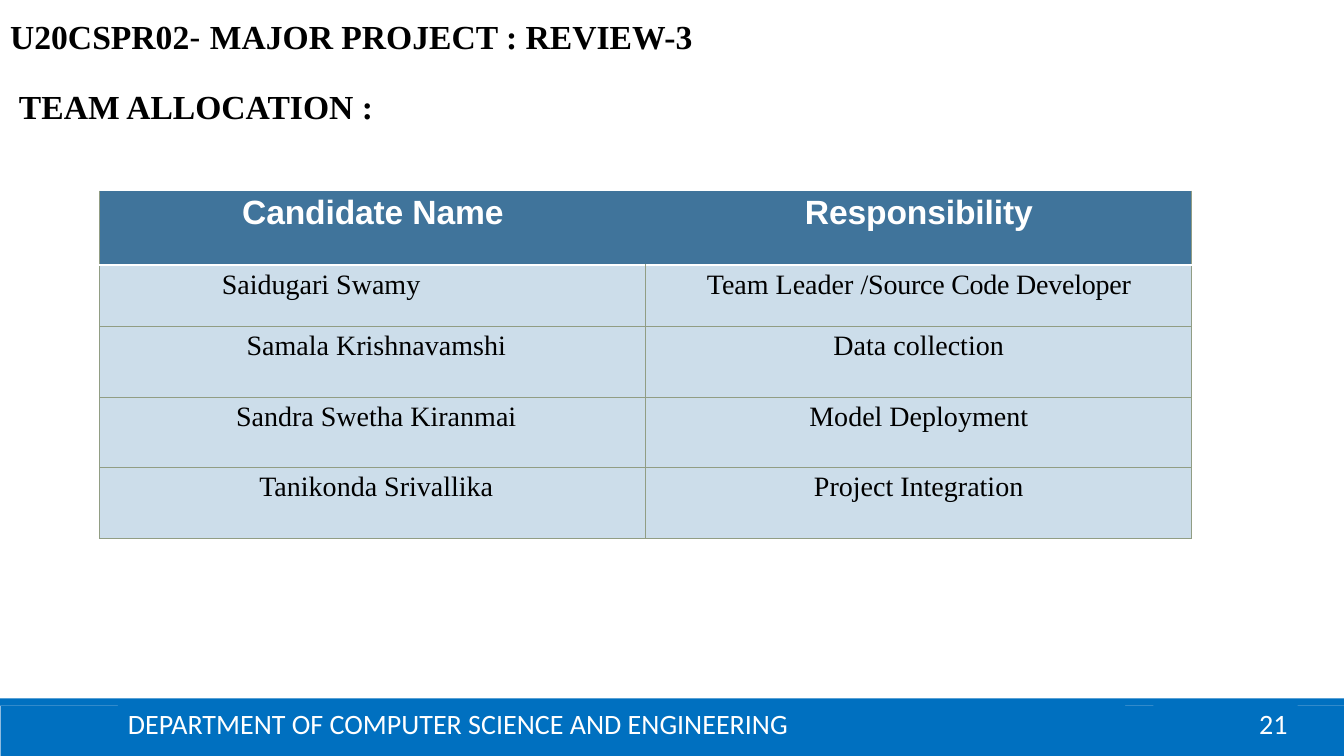
from lxml import etree
from pptx import Presentation
from pptx.dml.color import RGBColor
from pptx.enum import shapes, text
from pptx.oxml import ns
from pptx.util import Inches, Pt

COLORS = {
    "blue": "0070C0",
    "edge": "8DBBE0",
    "header": "40749B",
    "row": "CCDDEA",
    "grid": "919D84",
    "white": "FFFFFF",
    "black": "000000",
}
SERIF = "Times New Roman"
ROW_HEIGHTS = [0.74, 0.61, 0.7, 0.7, 0.7]
TEAM = [
    ("Saidugari Swamy", ["Team Leader ", "/Source Code Developer"]),
    ("Samala Krishnavamshi", ["Data collection"]),
    ("Sandra Swetha Kiranmai", ["Model Deployment"]),
    ("Tanikonda Srivallika", ["Project Integration"]),
]


def color(name):
    return RGBColor.from_string(COLORS[name])


def set_font(font, name, size, color_name, bold=False):
    font.name = name
    font.size = Pt(size)
    font.bold = bold
    font.color.rgb = color(color_name)


def place(shape, left, top, width, height):
    shape.left, shape.top = Inches(left), Inches(top)
    shape.width, shape.height = Inches(width), Inches(height)


def prepare_frame(shape):
    frame = shape.text_frame
    frame.word_wrap = True
    frame.auto_size = text.MSO_AUTO_SIZE.NONE
    frame.vertical_anchor = text.MSO_ANCHOR.MIDDLE
    return frame.paragraphs[0]


def add_bar(slide, left, top, width, height, line=None):
    bar = slide.shapes.add_shape(
        shapes.MSO_SHAPE.RECTANGLE,
        Inches(left), Inches(top), Inches(width), Inches(height))
    bar.shadow.inherit = False
    bar.fill.solid()
    bar.fill.fore_color.rgb = color("blue")
    if line:
        bar.line.color.rgb = color(line)
        bar.line.width = Pt(0.5)
    else:
        bar.line.fill.background()
    return bar


def add_footer(slide, left, top, width, height):
    strip = 0.07
    add_bar(slide, left, top + strip, width, height - strip, "edge")
    add_bar(slide, left, top, width, strip)
    labels = [
        ("21", 11.44, 1.43, 0.4, text.PP_ALIGN.RIGHT),
        ("DEPARTMENT OF COMPUTER SCIENCE AND ENGINEERING",
         1.17, 9.99, 0.39, text.PP_ALIGN.LEFT),
    ]
    for label, offset, label_width, label_height, alignment in labels:
        bar = add_bar(slide, left + offset, top + 0.05, label_width, label_height)
        paragraph = prepare_frame(bar)
        paragraph.text = label
        paragraph.alignment = alignment
        set_font(paragraph.font, "Calibri", 20, "white")


def add_headings(slide, left, top, width, height):
    title = slide.shapes.title
    place(title, left, top, width, height)
    paragraph = prepare_frame(title)
    paragraph.alignment = text.PP_ALIGN.LEFT
    parts = [("U20CSPR02", SERIF, True), ("- ", "Arial", False),
             ("MAJOR PROJECT : REVIEW-3", SERIF, True)]
    for words, font_name, bold in parts:
        run = paragraph.add_run()
        run.text = words
        set_font(run.font, font_name, 24, "black", bold)

    subtitle = slide.shapes.add_textbox(
        Inches(left + 0.09), Inches(top + 0.69), Inches(3.94), Inches(height))
    paragraph = prepare_frame(subtitle)
    paragraph.text = "TEAM ALLOCATION :"
    set_font(paragraph.font, SERIF, 24, "black", True)


def set_border(cell, side, color_name=None, width=0.75):
    properties = cell._tc.get_or_add_tcPr()
    line = etree.SubElement(properties, ns.qn(f"a:ln{side}"), w=str(Pt(width)))
    if color_name:
        fill = etree.SubElement(line, ns.qn("a:solidFill"))
        etree.SubElement(fill, ns.qn("a:srgbClr"), val=COLORS[color_name])
    else:
        etree.SubElement(line, ns.qn("a:noFill"))


def style_cell(cell, row, column):
    cell.margin_left = cell.margin_right = cell.margin_bottom = 0
    cell.margin_top = Inches(0.04)
    header = row == 0
    set_border(cell, "L", None if header and column == 1 else "grid")
    set_border(cell, "R", None if header and column == 0 else "grid")
    if header:
        set_border(cell, "T")
        set_border(cell, "B", "white", 2.25)
    else:
        set_border(cell, "T", *(("white", 2.25) if row == 1 else ("grid",)))
        set_border(cell, "B", "grid")
    cell.fill.solid()
    cell.fill.fore_color.rgb = color("header" if header else "row")


def write_cell(cell, parts, spacings, header=False, indent=0, centered=True):
    paragraph = cell.text_frame.paragraphs[0]
    if indent:
        paragraph._p.get_or_add_pPr().set("marL", str(Inches(indent)))
    paragraph.alignment = text.PP_ALIGN.CENTER if centered else text.PP_ALIGN.LEFT
    for words, spacing in zip(parts, spacings):
        run = paragraph.add_run()
        run.text = words
        if spacing:
            run._r.get_or_add_rPr().set("spc", str(spacing))
    if header:
        set_font(paragraph.font, "Arial", 24, "white", True)
    else:
        set_font(paragraph.font, SERIF, 20, "black")


def add_team_table(slide, left, top, width, height):
    frame = slide.shapes.add_table(
        len(ROW_HEIGHTS), 2,
        Inches(left), Inches(top), Inches(width), Inches(height))
    table = frame.table
    table.horz_banding = False
    for row, row_height in zip(table.rows, ROW_HEIGHTS):
        row.height = Inches(row_height)
    for row in range(len(ROW_HEIGHTS)):
        for column in range(2):
            style_cell(table.cell(row, column), row, column)
    for column, heading in enumerate(["Candidate Name", "Responsibility"]):
        write_cell(table.cell(0, column), [heading], [-10], header=True)
    for row, (candidate, duties) in enumerate(TEAM, start=1):
        leader = row == 1
        write_cell(table.cell(row, 0), [candidate], [0],
                   indent=1.21 if leader else 0.07, centered=not leader)
        write_cell(table.cell(row, 1), duties, [0, -20])


def main():
    presentation = Presentation()
    presentation.slide_width = Inches(13.33)
    presentation.slide_height = Inches(7.5)
    slide = presentation.slides.add_slide(presentation.slide_layouts[5])
    add_footer(slide, 0, 6.93, 13.33, 0.57)
    add_headings(slide, 0, 0.11, 8.42, 0.5)
    add_team_table(slide, 0.99, 1.89, 10.83, sum(ROW_HEIGHTS))
    presentation.save("out.pptx")


if __name__ == "__main__":
    main()
